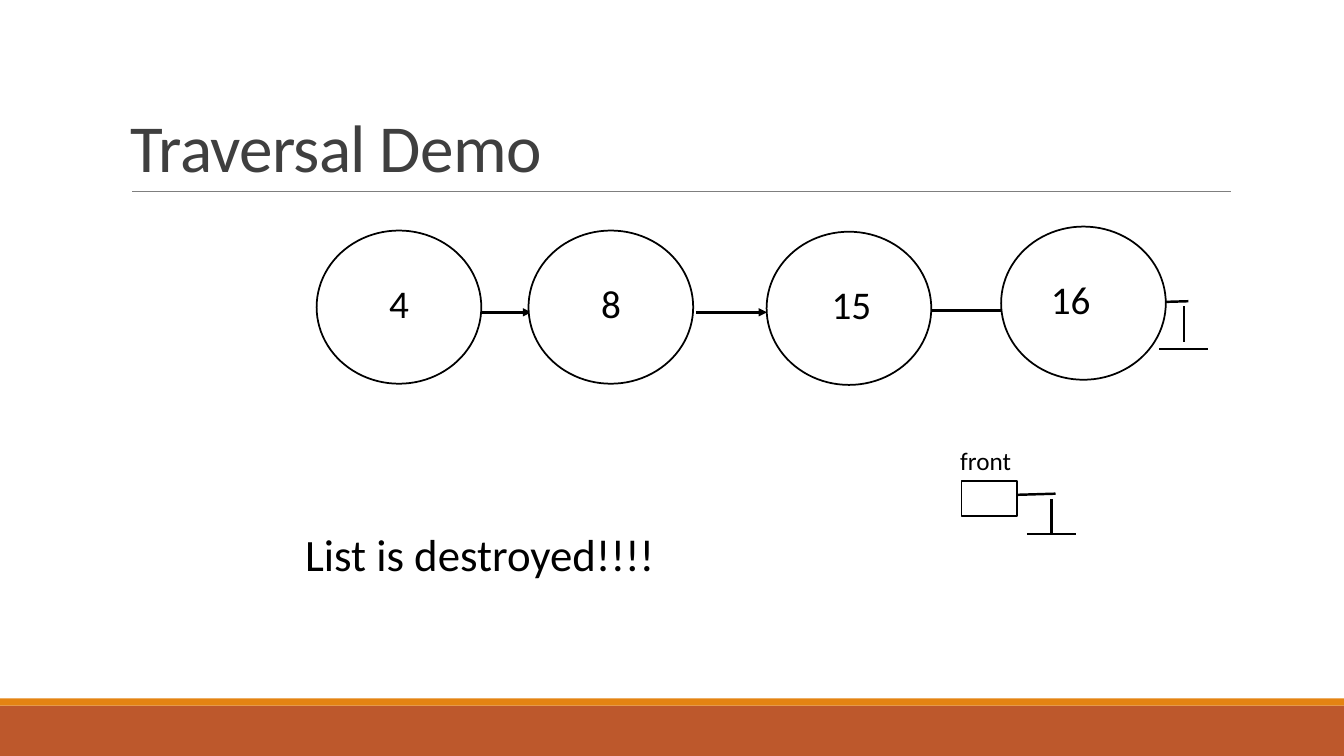
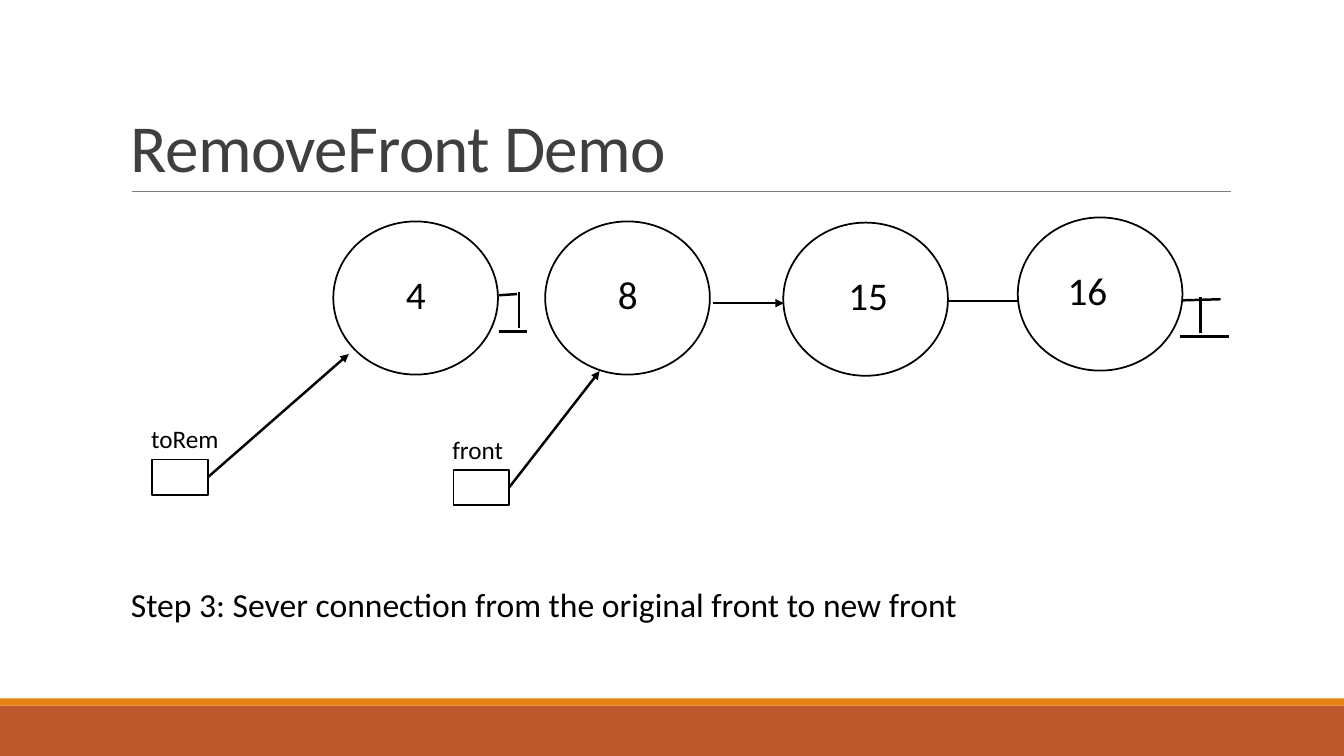
"""Build two slides that demonstrate traversing and trimming a linked list."""
from dataclasses import dataclass
from typing import Optional, Union

import pptx
import pptx.dml.color
import pptx.enum.shapes
import pptx.enum.text
import pptx.oxml.ns
import pptx.shapes.autoshape
import pptx.shapes.connector
import pptx.shapes.shapetree
import pptx.slide
import pptx.util
from lxml import etree

Cm = pptx.util.Cm
Color = pptx.dml.color.RGBColor
Preset = pptx.enum.shapes.MSO_SHAPE
Align = pptx.enum.text.PP_ALIGN
Anchor = pptx.enum.text.MSO_ANCHOR
Shape = pptx.shapes.autoshape.Shape
Connector = pptx.shapes.connector.Connector
Shapes = Union[pptx.shapes.shapetree.SlideShapes, pptx.shapes.shapetree.GroupShapes]
Point = tuple[float, float]


@dataclass(frozen=True)
class Theme:
    ink: Color = Color(0x00, 0x00, 0x00)
    paper: Color = Color(0xFF, 0xFF, 0xFF)
    heading: Color = Color(0x3F, 0x3F, 0x3F)
    rule: Color = Color(0x7F, 0x7F, 0x7F)
    band: Color = Color(0xBD, 0x58, 0x2C)
    stripe: Color = Color(0xE4, 0x83, 0x12)
    font: str = "Calibri"
    heading_size: float = 48
    value_size: float = 28
    label_size: float = 18
    outline: float = 1.25
    link: float = 1.75
    drop: float = 2
    hairline: float = 0.75


@dataclass(frozen=True)
class Box:
    left: float
    top: float
    width: float
    height: float


@dataclass(frozen=True)
class Node:
    value: str
    left: float
    top: float
    value_shift: float
    value_width: float


@dataclass(frozen=True)
class Link:
    start: float
    end: float
    y: float


@dataclass(frozen=True)
class Ground:
    x: float
    y: float
    arm: float
    drop_shift: Point
    base_shift: Point
    base: float


@dataclass(frozen=True)
class Pointer:
    name: str
    left: float
    top: float
    target: Optional[Point] = None


@dataclass(frozen=True)
class Demo:
    title: str
    caption: str
    caption_box: Box
    caption_size: float
    chain_shift: Point
    links: tuple[Link, ...]
    grounds: tuple[Ground, ...]
    pointers: tuple[Pointer, ...]


THEME = Theme()
SLIDE_WIDTH, SLIDE_HEIGHT = 33.87, 19.05
NODE_WIDTH, NODE_HEIGHT = 4.15, 3.86
CELL_WIDTH, CELL_HEIGHT = 1.4, 0.89
VALUE_DROP = 1.37
GROUND_DROP = 0.91

NODES = (
    Node("4", 7.98, 5.81, 1.38, 1.4),
    Node("8", 13.32, 5.81, 1.38, 1.4),
    Node("15", 19.32, 5.84, 1.38, 1.52),
    Node("16", 25.23, 5.71, 0.74, 2.03),
)
LINKS = (Link(12.12, 13.39, 7.87), Link(17.55, 19.33, 7.87), Link(23.47, 25.5, 7.82))

DEMOS = (
    Demo(
        "Traversal Demo",
        "List is destroyed!!!!",
        Box(7.44, 13.16, 17.78, 1.63),
        32,
        (0, 0),
        LINKS,
        (
            Ground(28.93, 7.62, 1.02, (0.91, 0.1), (0.28, 1.17), 1.24),
            Ground(25.58, 12.47, 1.02, (0.91, 0.1), (0.3, 0.99), 1.24),
        ),
        (Pointer("front", 24.23, 12.12),),
    ),
    Demo(
        "RemoveFront Demo",
        "Step 3: Sever connection from the original front to new front",
        Box(3.05, 14.58, 27.13, 1.27),
        24,
        (0.42, -0.23),
        LINKS[1:],
        (
            Ground(29.74, 7.57, 1.02, (0.51, -0.08), (0, 0.91), 1.24),
            Ground(12.57, 7.44, 0.46, (0.51, -0.08), (0, 0.91), 0.71),
        ),
        (
            Pointer("front", 11.43, 11.84, (15.11, 9.35)),
            Pointer("toRem", 3.84, 11.58, (8.79, 8.92)),
        ),
    ),
)


def add_block(shapes: Shapes, preset: Preset, box: Box, fill: Color,
              outline: Optional[Color] = None) -> Shape:
    block = shapes.add_shape(
        preset, Cm(box.left), Cm(box.top), Cm(box.width), Cm(box.height))
    block.shadow.inherit = False
    block.fill.solid()
    block.fill.fore_color.rgb = fill
    if outline is None:
        block.line.fill.background()
    else:
        block.line.color.rgb = outline
        block.line.width = pptx.util.Pt(THEME.outline)
    return block


def add_text(shapes: Shapes, text: str, box: Box, size: float,
             color: Color = THEME.ink) -> Shape:
    words = shapes.add_textbox(
        Cm(box.left), Cm(box.top), Cm(box.width), Cm(box.height))
    frame = words.text_frame
    frame.word_wrap = True
    frame.text = text
    font = frame.paragraphs[0].runs[0].font
    font.name = THEME.font
    font.size = pptx.util.Pt(size)
    font.color.rgb = color
    return words


def add_line(shapes: Shapes, start: Point, end: Point, width: float = THEME.link,
             color: Color = THEME.ink, arrow: bool = False) -> Connector:
    line = shapes.add_connector(
        pptx.enum.shapes.MSO_CONNECTOR.STRAIGHT,
        Cm(start[0]), Cm(start[1]), Cm(end[0]), Cm(end[1]))
    line.line.color.rgb = color
    line.line.width = pptx.util.Pt(width)
    properties = line._element.spPr
    if arrow:
        outline = properties.find(pptx.oxml.ns.qn("a:ln"))
        etree.SubElement(outline, pptx.oxml.ns.qn("a:tailEnd"), type="triangle")
    etree.SubElement(properties, pptx.oxml.ns.qn("a:effectLst"))
    return line


def add_frame(shapes: Shapes, title: str) -> None:
    add_block(shapes, Preset.RECTANGLE, Box(0, 17.78, SLIDE_WIDTH, 1.27), THEME.band)
    add_block(shapes, Preset.RECTANGLE, Box(0, 17.6, SLIDE_WIDTH, 0.18), THEME.stripe)
    add_line(shapes, (3.33, 4.83), (31.01, 4.83), THEME.hairline, THEME.rule)
    heading = add_text(
        shapes, title, Box(3.05, 0.79, 27.94, 4.04), THEME.heading_size, THEME.heading)
    heading.text_frame.vertical_anchor = Anchor.BOTTOM
    paragraph = heading.text_frame.paragraphs[0]
    paragraph.line_spacing = 0.85
    paragraph.runs[0]._r.get_or_add_rPr().set("spc", "-50")


def add_node(shapes: Shapes, node: Node, shift: Point) -> None:
    left, top = node.left + shift[0], node.top + shift[1]
    members = shapes.add_group_shape().shapes
    add_block(members, Preset.OVAL, Box(left, top, NODE_WIDTH, NODE_HEIGHT),
              THEME.paper, THEME.ink)
    value = add_text(
        members, node.value,
        Box(left + node.value_shift, top + VALUE_DROP, node.value_width, CELL_HEIGHT),
        THEME.value_size)
    frame = value.text_frame
    frame.margin_left = frame.margin_right = 0
    frame.vertical_anchor = Anchor.MIDDLE
    frame.paragraphs[0].alignment = Align.CENTER


def add_ground(shapes: Shapes, ground: Ground) -> None:
    x, y = ground.x, ground.y
    drop_x, drop_y = x + ground.drop_shift[0], y + ground.drop_shift[1]
    base_x, base_y = x + ground.base_shift[0], y + ground.base_shift[1]
    add_line(shapes, (x, y), (x + ground.arm, y - 0.03))
    add_line(shapes, (drop_x, drop_y), (drop_x, drop_y + GROUND_DROP), THEME.drop)
    add_line(shapes, (base_x, base_y), (base_x + ground.base, base_y))


def add_pointer(shapes: Shapes, pointer: Pointer) -> None:
    left, top = pointer.left, pointer.top
    cell = add_block(shapes, Preset.RECTANGLE, Box(left, top, CELL_WIDTH, CELL_HEIGHT),
                     THEME.paper, THEME.ink)
    add_text(shapes, pointer.name, Box(left - 0.28, top - 1.03, 2.54, 1.02),
             THEME.label_size)
    if pointer.target is not None:
        start = (left + CELL_WIDTH, top + CELL_HEIGHT / 2)
        add_line(shapes, start, pointer.target, arrow=True).begin_connect(cell, 3)


def add_demo(slide: pptx.slide.Slide, demo: Demo) -> None:
    shapes = slide.shapes
    shift_x, shift_y = demo.chain_shift
    add_frame(shapes, demo.title)
    for link in demo.links:
        y = link.y + shift_y
        add_line(shapes, (link.start + shift_x, y), (link.end + shift_x, y), arrow=True)
    for ground in demo.grounds:
        add_ground(shapes, ground)
    for node in NODES:
        add_node(shapes, node, demo.chain_shift)
    for pointer in demo.pointers:
        add_pointer(shapes, pointer)
    add_text(shapes, demo.caption, demo.caption_box, demo.caption_size)


def main() -> None:
    deck = pptx.Presentation()
    deck.slide_width, deck.slide_height = Cm(SLIDE_WIDTH), Cm(SLIDE_HEIGHT)
    for demo in DEMOS:
        add_demo(deck.slides.add_slide(deck.slide_layouts[6]), demo)
    deck.save("out.pptx")


if __name__ == "__main__":
    main()
